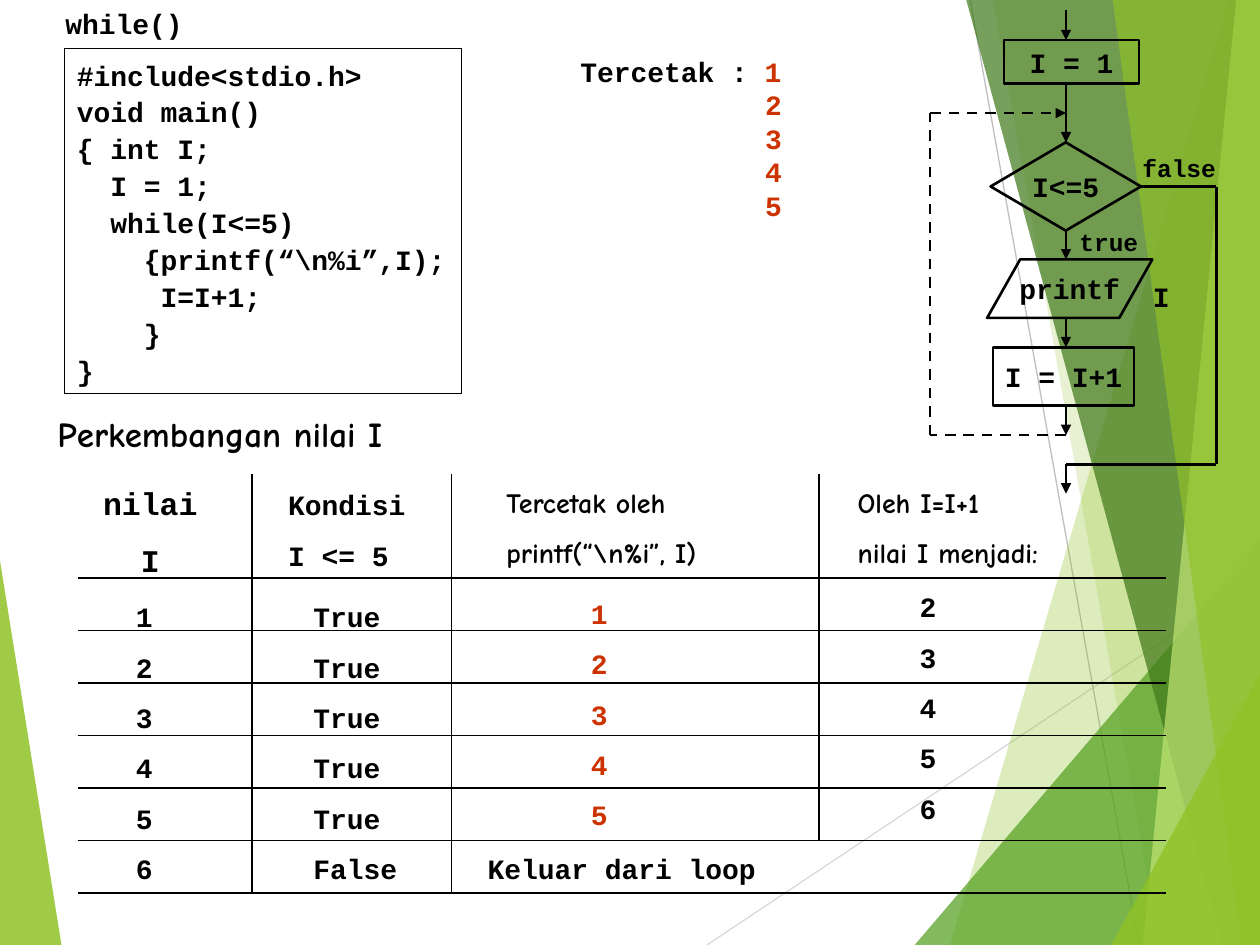
from dataclasses import dataclass
from itertools import pairwise

from lxml import etree
from pptx import Presentation
from pptx import util as u
from pptx.dml.color import RGBColor
from pptx.enum import dml, shapes, text
from pptx.oxml import ns
from pptx.slide import Slide

WIDTH, HEIGHT = 25.4, 19.05
MONO_ADVANCE = 0.6


def colour(value):
    return RGBColor.from_string(value)


def child(parent, tag, **attributes):
    return etree.SubElement(parent, ns.qn(tag), attributes)


def write(frame, content, *, size=16, font="Courier New", color="000000",
          align=text.PP_ALIGN.LEFT, anchor=text.MSO_ANCHOR.TOP,
          spacing=None, lead="", grow=True):
    frame.word_wrap = False
    frame.vertical_anchor = anchor
    frame.auto_size = (text.MSO_AUTO_SIZE.SHAPE_TO_FIT_TEXT if grow
                       else text.MSO_AUTO_SIZE.NONE)
    for index, line in enumerate(content.split("\n")):
        paragraph = frame.paragraphs[0] if index == 0 else frame.add_paragraph()
        paragraph.alignment = align
        if spacing:
            paragraph.line_spacing = spacing
        parts = [(line, color)]
        if lead and index == 0:
            parts.insert(0, (lead, "000000"))
        elif lead:
            indent = u.Pt(len(lead) * size * MONO_ADVANCE)
            paragraph._p.get_or_add_pPr().set("marL", str(int(indent)))
        for words, shade in parts:
            run = paragraph.add_run()
            run.text = words
            run.font.size = u.Pt(size)
            run.font.name = font
            run.font.bold = True
            run.font.color.rgb = colour(shade)


@dataclass
class Board:
    slide: Slide
    ink: str = "000000"
    thin: float = 0.75
    thick: float = 1.5

    def facet(self, points, color, opacity):
        start, *rest = [(u.Cm(x), u.Cm(y)) for x, y in points]
        builder = self.slide.shapes.build_freeform(*start)
        builder.add_line_segments(rest, close=True)
        shape = builder.convert_to_shape()
        shape.shadow.inherit = False
        shape.fill.solid()
        shape.fill.fore_color.rgb = colour(color)
        shape.line.fill.background()
        tint = shape._element.spPr.find(f".//{ns.qn('a:srgbClr')}")
        child(tint, "a:alpha", val=str(opacity * 1000))

    def line(self, start, end, *, color=None, width=None, dash=False, arrow=False):
        connector = self.slide.shapes.add_connector(
            shapes.MSO_CONNECTOR.STRAIGHT, *map(u.Cm, (*start, *end)))
        connector.line.color.rgb = colour(color or self.ink)
        connector.line.width = u.Pt(width or self.thin)
        if dash:
            connector.line.dash_style = dml.MSO_LINE.DASH
        properties = connector._element.spPr
        if arrow:
            child(properties.find(ns.qn("a:ln")), "a:tailEnd", type="triangle")
        child(properties, "a:effectLst")

    def route(self, points, *, dash=False):
        steps = list(pairwise(points))
        for step in steps:
            self.line(*step, width=self.thick, dash=dash, arrow=step is steps[-1])

    def label(self, box, content, **style):
        shape = self.slide.shapes.add_textbox(*map(u.Cm, box))
        write(shape.text_frame, content, **style)

    def outline(self, kind, box, content, *, width=None, **style):
        shape = self.slide.shapes.add_shape(kind, *map(u.Cm, box))
        shape.shadow.inherit = False
        shape.fill.background()
        shape.line.color.rgb = colour(self.ink)
        shape.line.width = u.Pt(width or self.thin)
        write(shape.text_frame, content, **style)

    def node(self, kind, box, content):
        self.outline(kind, box, content, width=self.thick, grow=False,
                     align=text.PP_ALIGN.CENTER, anchor=text.MSO_ANCHOR.MIDDLE)


def band(top, bottom):
    return [(top, 0), (bottom, HEIGHT), (WIDTH, HEIGHT), (WIDTH, 0)]


def corner(left, top):
    return [(left, HEIGHT), (WIDTH, top), (WIDTH, HEIGHT)]


def draw_background(board):
    board.facet([(0, 11.3), (1.24, HEIGHT), (0, HEIGHT)], "90C226", 85)
    board.line((14.25, HEIGHT), (WIDTH, 11.62), color="D9D9D9")
    board.line((19.56, 0), (22.96, HEIGHT), color="BFBFBF")
    for points, color, opacity in (
        (band(24.77, 19.15), "90C226", 30),
        (band(20.02, 23.37), "90C226", 20),
        (corner(18.44, 10.9), "54A021", 72),
        (band(19.48, 24.64), "3F7819", 70),
        (band(24.92, 23.04), "C0E474", 70),
        (band(22.43, 25.04), "90C226", 65),
        (corner(22.4, 13.59), "90C226", 80),
    ):
        board.facet(points, color, opacity)


def draw_program(board):
    board.label((1.07, 0, 2.95, 0.94), "while()")
    code = """#include<stdio.h>
void main()
{ int I;
  I = 1;
  while(I<=5)
    {printf(“\\n%i”,I);
     I=I+1;
    }
}"""
    board.outline(shapes.MSO_SHAPE.RECTANGLE, (1.3, 0.98, 8, 6.95), code, spacing=1.1)
    board.label((11.45, 0.97, 4.7, 3.66), "1\n2\n3\n4\n5", color="CC3300", lead="Tercetak : ")


def draw_trace_table(board):
    comic = "Comic Neue"
    board.label((0.91, 8.2, 7.2, 1.12), "Perkembangan nilai I", size=20, font=comic)
    for box, content, style in (
        ((1.78, 9.25, 2.5, 2.54), "nilai\nI", {"size": 18, "align": text.PP_ALIGN.CENTER}),
        ((5.56, 9.37, 3, 2.29), "Kondisi\nI <= 5", {}),
        ((9.96, 9.32, 4.45, 2.29), "Tercetak oleh\nprintf(“\\n%i”, I)", {"font": comic}),
        ((17.04, 9.32, 4.25, 2.29), "Oleh I=I+1\nnilai I menjadi:", {"font": comic}),
        ((2.49, 11.63, 0.9, 6.35), "1\n2\n3\n4\n5\n6", {}),
        ((6.07, 11.63, 2.3, 6.35), "True\nTrue\nTrue\nTrue\nTrue\nFalse", {}),
        ((11.66, 11.56, 0.9, 5.33), "1\n2\n3\n4\n5", {"color": "CC3300"}),
        ((9.58, 16.71, 6.05, 1.27), "Keluar dari loop", {}),
        ((18.29, 11.43, 0.9, 5.33), "2\n3\n4\n5\n6", {}),
    ):
        board.label(box, content, spacing=1.5, **style)
    top, bottom, row_count = 11.65, 18, 6
    pitch = (bottom - top) / row_count
    for row in range(row_count + 1):
        y = top + row * pitch
        board.line((1.57, y), (23.5, y))
    for x, rows in ((5.08, 6), (9.1, 6), (16.51, 5)):
        board.line((x, 9.55), (x, top + rows * pitch))


def draw_flowchart(board):
    axis = 21.49
    kinds = shapes.MSO_SHAPE
    board.node(kinds.RECTANGLE, (20.24, 0.81, 2.72, 0.88), "I = 1")
    board.node(kinds.FLOWCHART_DECISION, (19.97, 2.87, 3.03, 1.78), "I<=5")
    board.node(kinds.FLOWCHART_DATA, (19.9, 5.23, 3.33, 1.18), "printf")
    board.node(kinds.RECTANGLE, (20.02, 7, 2.84, 1.18), "I = I+1")
    for top, bottom in ((0.2, 0.81), (1.69, 2.87), (4.65, 5.23), (6.41, 7), (8.18, 8.77)):
        board.route([(axis, top), (axis, bottom)])
    board.route([(axis, 8.77), (18.75, 8.77), (18.75, 2.28), (axis, 2.28)], dash=True)
    board.route([(23, 3.76), (24.52, 3.76), (24.52, 9.36), (axis, 9.36), (axis, 9.95)])
    board.label((22.99, 5.51, 0.9, 0.94), "I")
    board.label((22.78, 2.97, 2.1, 0.86), "false", size=14)
    board.label((21.51, 4.45, 1.96, 0.86), "true", size=14)


def main():
    presentation = Presentation()
    presentation.slide_width = u.Cm(WIDTH)
    presentation.slide_height = u.Cm(HEIGHT)
    board = Board(presentation.slides.add_slide(presentation.slide_layouts[6]))
    draw_background(board)
    draw_program(board)
    draw_trace_table(board)
    draw_flowchart(board)
    presentation.save("out.pptx")


if __name__ == "__main__":
    main()
